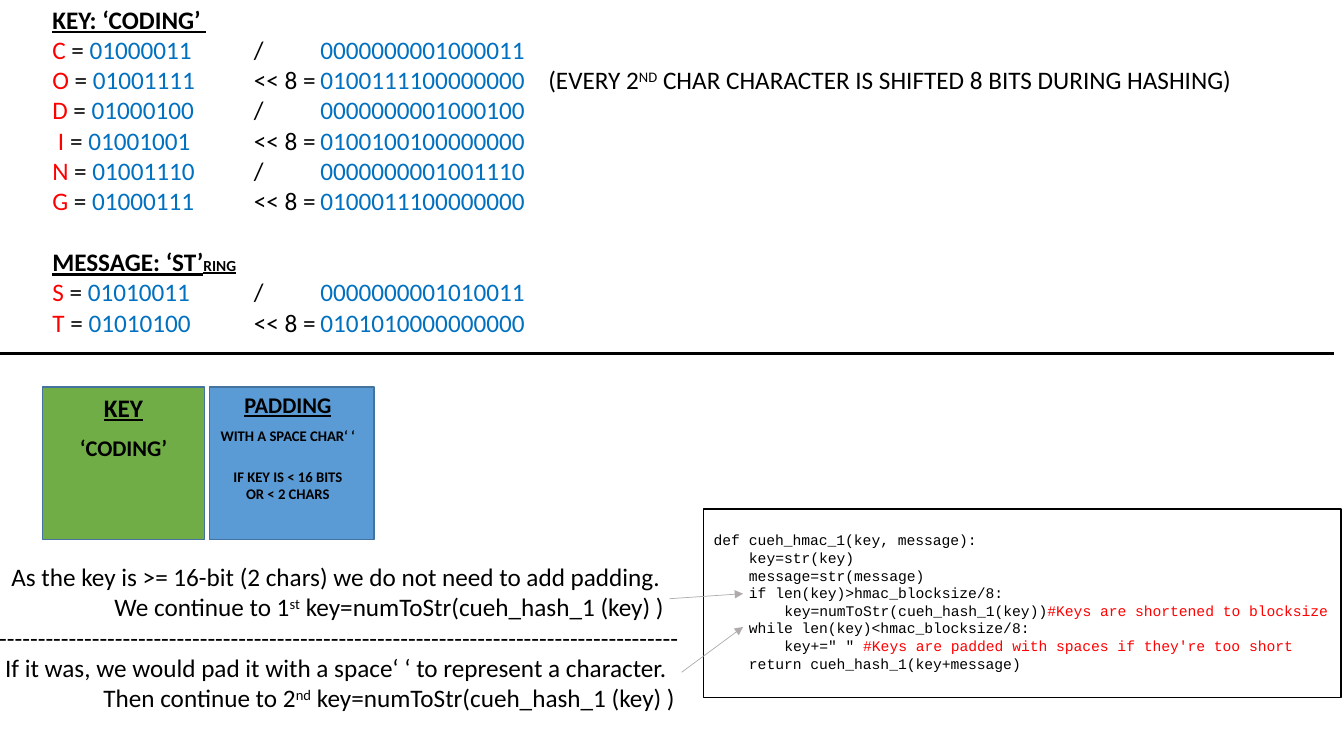
from pptx import Presentation, util as u
from pptx.dml.color import RGBColor
from pptx.enum import shapes, text
from pptx.oxml.ns import qn
from lxml import etree

COLORS = {"black": "000000", "white": "FFFFFF", "red": "FF0000",
          "bits": "0070C0", "key": "70AD47", "padding": "5B9BD5",
          "edge": "43739E", "arrow": "AFABAB"}
HEADING = {"bold": True, "underline": True}
CENTER = text.PP_ALIGN.CENTER


def rgb(name):
    return RGBColor.from_string(COLORS[name])


def write(p, *runs, size=18, font="Calibri"):
    """Fill a paragraph with strings or (string, style) pairs."""
    for run in runs:
        words, style = (run, {}) if isinstance(run, str) else run
        r = p.add_run()
        r.text = words
        r.font.name = font
        r.font.size = u.Pt(style.get("size", size))
        r.font.bold = style.get("bold", False)
        r.font.underline = style.get("underline", False)
        r.font.color.rgb = rgb(style.get("color", "black"))
        if style.get("super"):
            r._r.get_or_add_rPr().set("baseline", "30000")


def indent(p, inches):
    pPr = p._p.get_or_add_pPr()
    pPr.set("marL", str(u.Inches(inches)))
    pPr.set("indent", "0")


def set_tabs(p, stops):
    tabs = etree.SubElement(p._p.get_or_add_pPr(), qn("a:tabLst"))
    for stop in stops:
        etree.SubElement(tabs, qn("a:tab"), pos=str(u.Inches(stop)), algn="l")


def paragraphs(tf, count):
    return [tf.paragraphs[0]] + [tf.add_paragraph() for _ in range(count - 1)]


def add_text(parent, box):
    tf = parent.add_textbox(*map(u.Inches, box)).text_frame
    tf.word_wrap = True
    return tf


def add_rect(parent, box, fill, edge):
    sp = parent.add_shape(shapes.MSO_SHAPE.RECTANGLE, *map(u.Inches, box))
    sp.shadow.inherit = False
    sp.fill.solid()
    sp.fill.fore_color.rgb = rgb(fill)
    sp.line.color.rgb = rgb(edge)
    sp.line.width = u.Pt(1)
    return sp


def add_line(s, start, end, color, width, arrow=False):
    line = s.shapes.add_connector(shapes.MSO_CONNECTOR.STRAIGHT,
                                  *map(u.Inches, start + end))
    line.line.color.rgb = rgb(color)
    line.line.width = u.Pt(width)
    if arrow:
        etree.SubElement(line.line._get_or_add_ln(), qn("a:tailEnd"), type="triangle")
    etree.SubElement(line._element.spPr, qn("a:effectLst"))


def bit_row(p, char, shifted, comment=()):
    """Write one character with its 8-bit and 16-bit values."""
    code = ord(char)
    set_tabs(p, (2, 2.66, 4.92))
    label = " I " if char == "I" else f"{char} "
    write(p, (label, {"color": "red"}), "= ",
          (f"{code:08b}", {"color": "bits"}),
          "\t<< 8 =\t" if shifted else "\t/\t",
          (f"{code << 8 if shifted else code:016b}", {"color": "bits"}),
          *comment)


def bit_listing(s, box):
    key, message = "CODING", "ST"
    comment = ("\t(EVERY 2", ("ND", {"super": True}),
               " CHAR CHARACTER IS SHIFTED 8 BITS DURING HASHING)")
    ps = paragraphs(add_text(s.shapes, box), len(key) + len(message) + 2)
    key_head, key_rows = ps[0], ps[1:len(key) + 1]
    message_head, message_rows = ps[len(key) + 1], ps[len(key) + 2:]
    write(key_head, ("KEY: ‘CODING’ ", HEADING))
    message_head.space_before = u.Pt(22)
    write(message_head, ("MESSAGE: ‘ST’", HEADING), ("RING", HEADING | {"size": 11}))
    for word, rows in ((key, key_rows), (message, message_rows)):
        for i, (char, p) in enumerate(zip(word, rows)):
            bit_row(p, char, i % 2 == 1, comment if char == "O" else ())


def block(s, rect, text_box, fill, lines):
    """Group a filled square with lines of (words, style, space before, spacing)."""
    group = s.shapes.add_group_shape().shapes
    add_rect(group, rect, fill, "edge")
    tf = add_text(group, text_box)
    for p, (words, style, before, spacing) in zip(paragraphs(tf, len(lines)), lines):
        p.alignment = CENTER
        p.space_before = u.Pt(before)
        p.line_spacing = spacing
        write(p, (words, {"bold": True} | style))


def key_blocks(s, box):
    left, top, width, height = box
    small = {"size": 10.5}
    block(s, (left, top, 1.61, height), (left, top, 1.61, 0.79), "key",
          [("KEY", HEADING, 0, 1), ("‘CODING’", {"size": 16}, 8.5, 1)])
    block(s, (left + 1.66, top, width - 1.66, height),
          (left + 1.51, top - 0.01, 1.85, 1.41), "padding",
          [("PADDING", HEADING | {"size": 16}, 0, 1),
           ("WITH A SPACE CHAR‘ ‘", small, 0, 1.5),
           ("IF KEY IS < 16 BITS", small, 16.5, 1),
           ("OR < 2 CHARS", small, 0, 1)])


def notes_text(s, box):
    call = " key=numToStr(cueh_hash_1 (key) )"
    lines = [
        (0, ["As the key is >= 16-bit (2 chars) we do not need to add padding. "]),
        (1, ["We continue to 1", ("st", {"super": True}), call]),
        (0, ["-" * 88]),
        (0, ["If it was, we would pad it with a space‘ ‘ to represent a character. "]),
        (1, ["Then continue to 2", ("nd", {"super": True}), call]),
    ]
    for p, (level, runs) in zip(paragraphs(add_text(s.shapes, box), len(lines)), lines):
        p.alignment = CENTER
        indent(p, level)
        write(p, *runs)


def code_box(s, box):
    red = {"color": "red"}
    lines = [
        (0, ["def cueh_hmac_1(key, message):"]),
        (1, ["key=str(key)"]),
        (1, ["message=str(message)"]),
        (1, ["if len(key)>hmac_blocksize/8:"]),
        (2, ["key=numToStr(cueh_hash_1(key))", ("#Keys are shortened to blocksize", red)]),
        (1, ["while len(key)<hmac_blocksize/8:"]),
        (2, ['key+=" " ', ("#Keys are padded with spaces if they're too short", red)]),
        (1, ["return cueh_hash_1(key+message)"]),
    ]
    tf = add_rect(s.shapes, box, "white", "black").text_frame
    tf.word_wrap = True
    tf.vertical_anchor = text.MSO_ANCHOR.TOP
    tf.margin_top = u.Inches(0.22)
    for p, (level, runs) in zip(paragraphs(tf, len(lines)), lines):
        p.alignment = text.PP_ALIGN.LEFT
        indent(p, 0.35 * level)
        write(p, *runs, size=10.5, font="Courier New")


def main():
    prs = Presentation()
    prs.slide_width, prs.slide_height = u.Inches(13.33), u.Inches(7.5)
    s = prs.slides.add_slide(prs.slide_layouts[6])
    bit_listing(s, (0.42, -0.01, 12.02, 3.74))
    key_blocks(s, (0.42, 3.84, 3.29, 1.51))
    notes_text(s, (-0.5, 5.52, 7.72, 1.62))
    code_box(s, (6.98, 5.05, 6.32, 1.87))
    add_line(s, (6.64, 5.94), (7.37, 5.89), "arrow", 0.5, arrow=True)
    add_line(s, (6.76, 6.67), (7.37, 6.22), "arrow", 0.5, arrow=True)
    add_line(s, (0, 3.51), (13.23, 3.51), "black", 2.25)
    prs.save("out.pptx")


if __name__ == "__main__":
    main()
